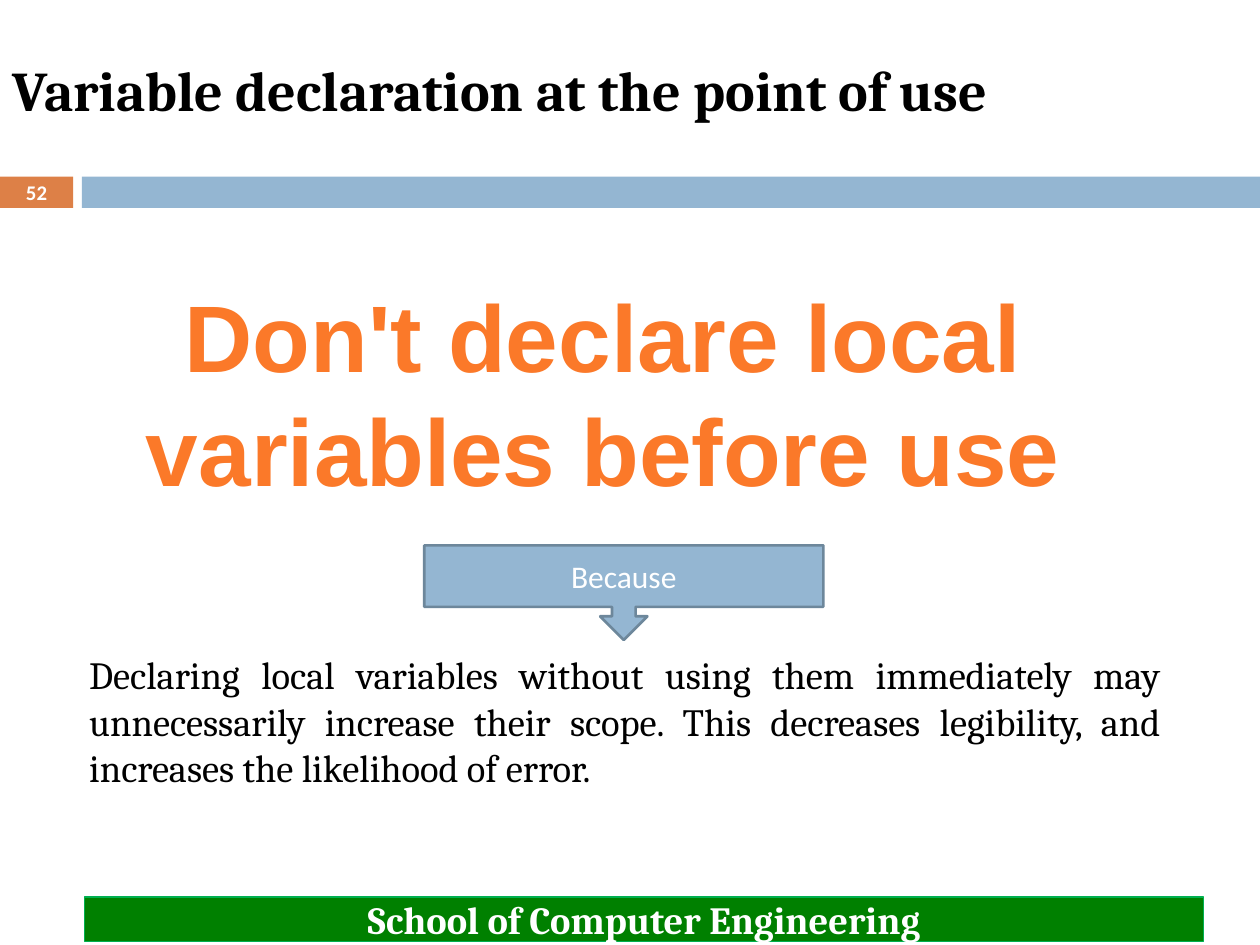
from collections import namedtuple

from pptx import Presentation
from pptx.dml.color import RGBColor
from pptx.enum.shapes import MSO_SHAPE
from pptx.enum.text import MSO_ANCHOR, PP_ALIGN
from pptx.util import Inches, Pt

RECTANGLE = MSO_SHAPE.RECTANGLE
CALLOUT = MSO_SHAPE.DOWN_ARROW_CALLOUT
TOP, MIDDLE = MSO_ANCHOR.TOP, MSO_ANCHOR.MIDDLE
LEFT, CENTER, JUSTIFY = PP_ALIGN.LEFT, PP_ALIGN.CENTER, PP_ALIGN.JUSTIFY

BLACK = RGBColor(0x00, 0x00, 0x00)
WHITE = RGBColor(0xFF, 0xFF, 0xFF)
BLUE = RGBColor(0x94, 0xB6, 0xD2)
SLATE = RGBColor(0x6D, 0x87, 0x9B)
RUST = RGBColor(0xDD, 0x80, 0x47)
ORANGE = RGBColor(0xFB, 0x79, 0x29)
GREEN = RGBColor(0x00, 0x80, 0x00)
BRIGHT_GREEN = RGBColor(0x00, 0xB0, 0x50)

WIDTH, HEIGHT = 10, 7.5
Box = namedtuple("Box", "left top width height")


def part(box, left, top, width, height):
    return Box(box.left + left * box.width, box.top + top * box.height,
               width * box.width, height * box.height)


def write(shape, text, size, font, color, bold=False, align=LEFT, anchor=MIDDLE):
    frame = shape.text_frame
    frame.word_wrap = True
    frame.vertical_anchor = anchor
    paragraph = frame.paragraphs[0]
    paragraph.alignment = align
    run = paragraph.add_run()
    run.text = text
    run.font.size = Pt(size)
    run.font.name = font
    run.font.bold = bold
    run.font.color.rgb = color


def add_block(slide, box, fill, line=None, weight=0, kind=RECTANGLE):
    block = slide.shapes.add_shape(kind, *map(Inches, box))
    block.shadow.inherit = False
    block.fill.solid()
    block.fill.fore_color.rgb = fill
    if line is None:
        block.line.fill.background()
    else:
        block.line.color.rgb = line
        block.line.width = Pt(weight)
    return block


def add_label(slide, box, *args, **style):
    write(slide.shapes.add_textbox(*map(Inches, box)), *args, **style)


def add_header(slide, box, title, number):
    add_label(slide, part(box, 0, 0.1, 0.97, 0.66), title, 32, "Cambria", BLACK, bold=True)
    badge = part(box, 0, 0.85, 0.058, 0.15)
    add_block(slide, badge, RUST)
    add_block(slide, part(box, 0.065, 0.85, 0.935, 0.15), BLUE)
    add_label(slide, badge, number, 11.9, "Calibri", WHITE, bold=True, align=CENTER)


def add_advice(slide, box, rule, link, reason):
    add_label(slide, part(box, 0.01, 0, 0.94, 0.46), rule, 54, "Arial", ORANGE,
              bold=True, align=CENTER, anchor=TOP)
    callout = add_block(slide, part(box, 0.317, 0.52, 0.364, 0.18), BLUE, SLATE, 1.5, CALLOUT)
    write(callout, link, 18, "Calibri", WHITE, align=CENTER)
    add_label(slide, part(box, 0, 0.71, 1, 0.29), reason, 22, "Cambria", BLACK,
              align=JUSTIFY, anchor=TOP)


def add_footer(slide, box, school):
    banner = add_block(slide, box, GREEN, BRIGHT_GREEN, 0.75)
    write(banner, school, 22, "Cambria", WHITE, bold=True, align=CENTER)


presentation = Presentation()
presentation.slide_width = Inches(WIDTH)
presentation.slide_height = Inches(HEIGHT)
slide = presentation.slides.add_slide(presentation.slide_layouts[6])
page = Box(0, 0, WIDTH, HEIGHT)

add_header(slide, part(page, 0, 0, 1, 0.22), "Variable declaration at the point of use", "52")
add_advice(
    slide, Box(0.61, 2.16, 8.7, 4.17),
    "Don't declare local variables before use",
    "Because",
    "Declaring local variables without using them immediately may unnecessarily "
    "increase their scope. This decreases legibility, and increases the likelihood of error.",
)
add_footer(slide, Box(0.67, 7.12, 8.88, 0.35), "School of Computer Engineering")
presentation.save("out.pptx")
